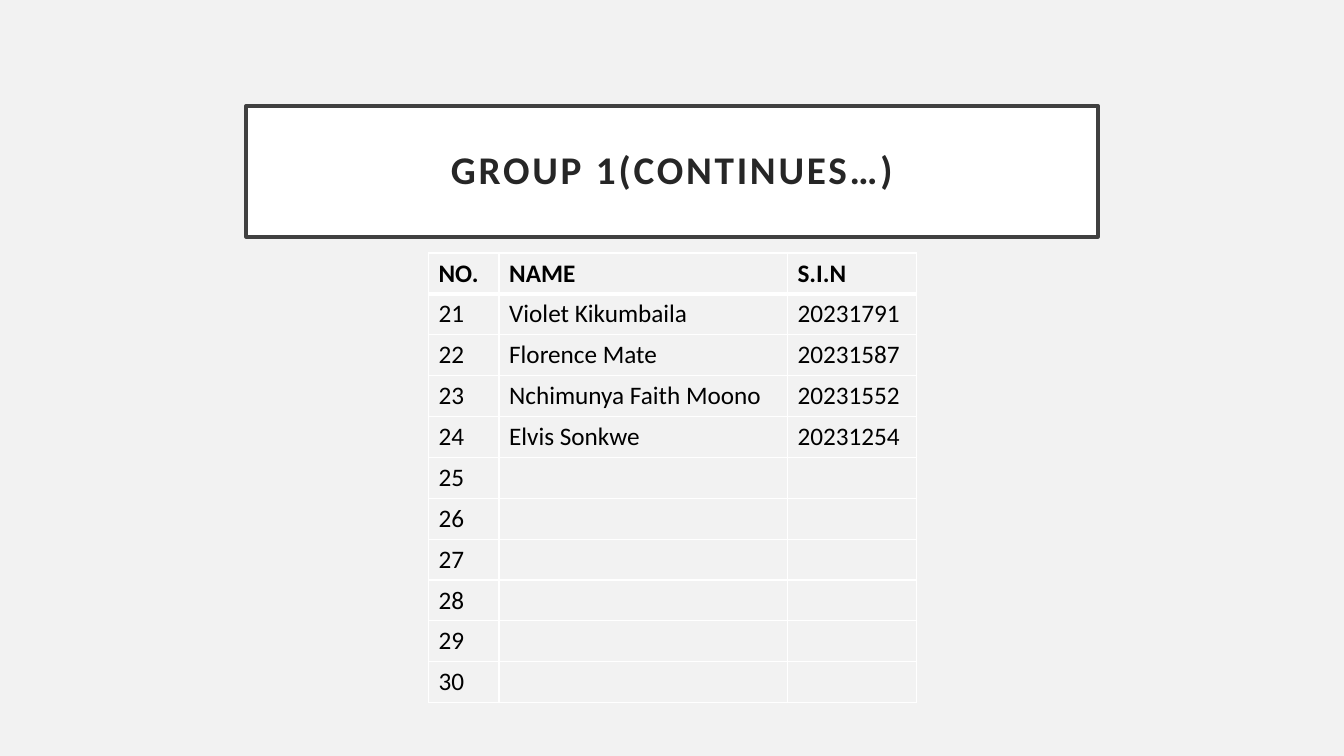
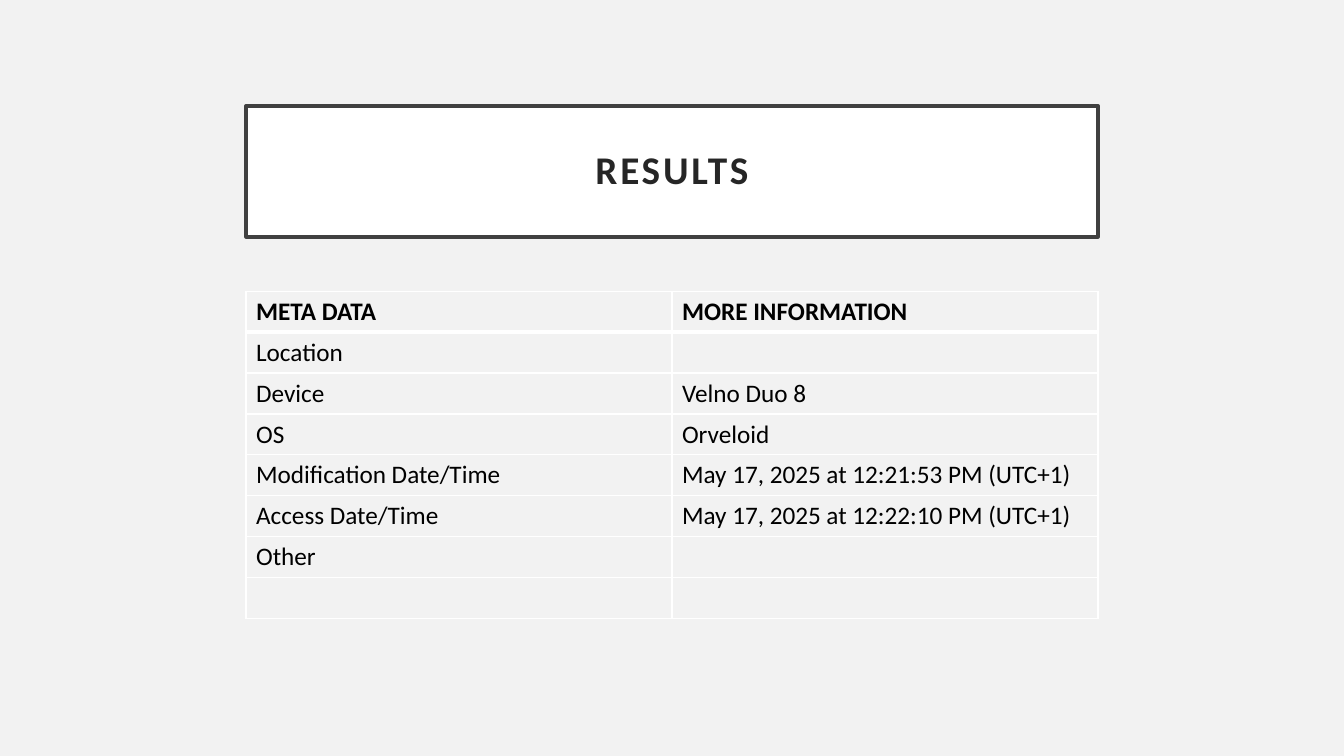
import pptx
import pptx.dml.color
import pptx.enum.text
import pptx.oxml.ns
import pptx.util
from lxml import etree

Inches = pptx.util.Inches
Pt = pptx.util.Pt

PAPER, WHITE, FRAME, TITLE_INK, INK = "F2F2F2", "FFFFFF", "404040", "262626", "000000"
FONT = "Calibri"
TITLE_BOX = (2.44, 1.05, 8.45, 1.3)
ROW_HEIGHT = 0.405
THIN, THICK = 1, 3

ROSTER = [
    ("NO.", "NAME", "S.I.N"),
    ("21", "Violet Kikumbaila", "20231791"),
    ("22", "Florence Mate", "20231587"),
    ("23", "Nchimunya Faith Moono", "20231552"),
    ("24", "Elvis Sonkwe", "20231254"),
] + [(str(number), "", "") for number in range(25, 31)]

RESULTS = [
    ("META DATA", "MORE INFORMATION"),
    ("Location", ""),
    ("Device", "Velno Duo 8"),
    ("OS", "Orveloid"),
    ("Modification Date/Time", "May 17, 2025 at 12:21:53 PM (UTC+1)"),
    ("Access Date/Time", "May 17, 2025 at 12:22:10 PM (UTC+1)"),
    ("Other", ""),
    ("", ""),
]


def set_color(target, value):
    """Give a font colour, or a solid fill, from a hex string."""
    if hasattr(target, "solid"):
        target.solid()
        target = target.fore_color
    else:
        target = target.color
    target.rgb = pptx.dml.color.RGBColor.from_string(value)


def set_values(target, values):
    for name, value in values.items():
        setattr(target, name, value)


def add_span(para, text, size, color, bold):
    span = para.add_run()
    span.text = text
    set_values(span.font, {"name": FONT, "size": Pt(size), "bold": bold})
    set_color(span.font, color)
    return span


def set_border(cell, side, width):
    """Add one cell border; call before the fill is set."""
    line = etree.SubElement(cell._tc.get_or_add_tcPr(),
                            pptx.oxml.ns.qn("a:ln" + side), w=str(Pt(width)))
    fill = etree.SubElement(line, pptx.oxml.ns.qn("a:solidFill"))
    etree.SubElement(fill, pptx.oxml.ns.qn("a:srgbClr"), val=WHITE)


def add_title(page, text, box):
    """Framed white title band."""
    title = page.shapes.title
    left, top, width, height = map(Inches, box)
    set_values(title, {"left": left, "top": top, "width": width, "height": height})
    set_color(title.fill, WHITE)
    set_color(title.line.fill, FRAME)
    title.line.width = Pt(2.5)

    frame = title.text_frame
    set_values(frame, {"margin_" + side: Inches(0.2)
                       for side in ("left", "top", "right", "bottom")})
    set_values(frame, {"word_wrap": True,
                       "vertical_anchor": pptx.enum.text.MSO_ANCHOR.MIDDLE})
    para = frame.paragraphs[0]
    set_values(para, {"alignment": pptx.enum.text.PP_ALIGN.CENTER, "line_spacing": 0.9})
    span = add_span(para, text, 28, TITLE_INK, True)
    span.font._element.set("spc", "200")


def add_grid(page, rows, left, top, columns):
    """Unfilled table with white rules and a heavier rule under the header."""
    table = page.shapes.add_table(
        len(rows), len(columns), Inches(left), Inches(top),
        Inches(sum(columns)), Inches(ROW_HEIGHT * len(rows))).table
    set_values(table, {"first_row": False, "horz_banding": False})
    for column, width in zip(table.columns, columns):
        column.width = Inches(width)

    for row_index, texts in enumerate(rows):
        table.rows[row_index].height = Inches(ROW_HEIGHT)
        widths = {"L": THIN, "R": THIN,
                  "T": THICK if row_index == 1 else THIN,
                  "B": THICK if row_index == 0 else THIN}
        for column_index, text in enumerate(texts):
            cell = table.cell(row_index, column_index)
            for side, width in widths.items():
                set_border(cell, side, width)
            cell.fill.background()
            if text:
                add_span(cell.text_frame.paragraphs[0], text, 18, INK, row_index == 0)


def add_table_page(deck, title, rows, left, top, columns):
    page = deck.slides.add_slide(deck.slide_layouts[5])
    add_title(page, title, TITLE_BOX)
    add_grid(page, rows, left, top, columns)


def main():
    deck = pptx.Presentation()
    set_values(deck, {"slide_width": Inches(13.33), "slide_height": Inches(7.5)})
    set_color(deck.slide_master.background.fill, PAPER)
    add_table_page(deck, "GROUP 1(CONTINUES…)", ROSTER, 4.25, 2.51, (0.7, 2.86, 1.28))
    add_table_page(deck, "RESULTS", RESULTS, TITLE_BOX[0], 2.89, (TITLE_BOX[2] / 2,) * 2)
    deck.save("out.pptx")


if __name__ == "__main__":
    main()
